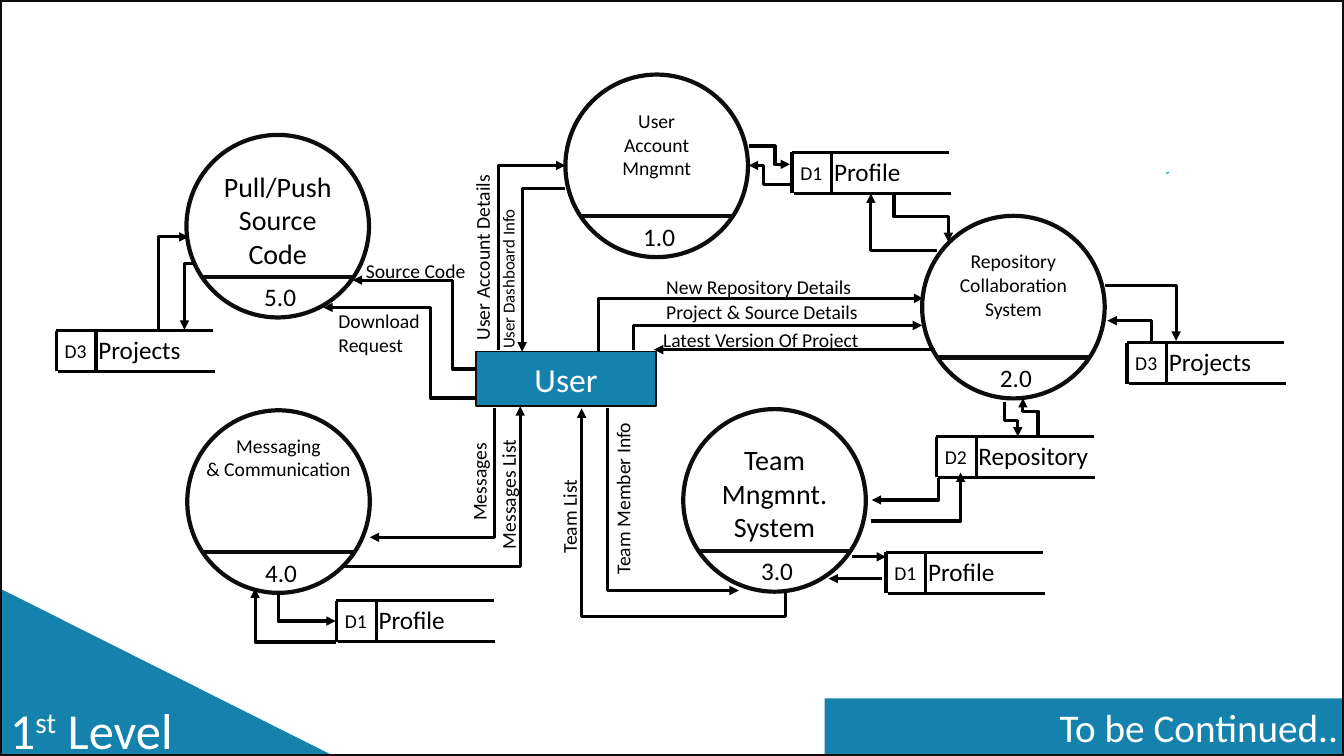
"""Build the first-level data flow diagram slide."""
from lxml import etree
from pptx import Presentation
from pptx.dml.color import RGBColor
from pptx.enum.shapes import MSO_CONNECTOR, MSO_SHAPE
from pptx.enum.text import MSO_ANCHOR, PP_ALIGN
from pptx.oxml.ns import qn
from pptx.util import Cm, Pt

BLACK = RGBColor(0x00, 0x00, 0x00)
OUTLINE = RGBColor(0x0D, 0x0D, 0x0D)
WHITE = RGBColor(0xFF, 0xFF, 0xFF)
BLUE = RGBColor(0x14, 0x82, 0xAC)
LIGHT_BLUE = RGBColor(0x1C, 0xAD, 0xE4)
LEFT, CENTER, RIGHT = PP_ALIGN.LEFT, PP_ALIGN.CENTER, PP_ALIGN.RIGHT
TOP, MIDDLE = MSO_ANCHOR.TOP, MSO_ANCHOR.MIDDLE
STRAIGHT, ELBOW = MSO_CONNECTOR.STRAIGHT, MSO_CONNECTOR.ELBOW
OVAL, RECTANGLE, TRIANGLE = MSO_SHAPE.OVAL, MSO_SHAPE.RECTANGLE, MSO_SHAPE.RIGHT_TRIANGLE
WIDTH, HEIGHT = 33.87, 19.05
DIAMETER = 4.6
STORE_WIDTH, STORE_HEIGHT = 3.96, 1.03


def write(shape, text, size, color=BLACK, align=LEFT, anchor=TOP):
    """Fill a shape with one paragraph per line of text."""
    frame = shape.text_frame
    frame.text = text
    for name, value in {"word_wrap": True, "vertical_anchor": anchor}.items():
        setattr(frame, name, value)
    for paragraph in frame.paragraphs:
        paragraph.alignment = align
        for name, value in {"name": "Calibri", "size": Pt(size)}.items():
            setattr(paragraph.font, name, value)
        for run in paragraph.runs:
            run.font.color.rgb = color


def connect(shapes, points, color=BLACK, width=2.25, arrow=True):
    """Draw a connector through two, three or four points."""
    (x1, y1), (x2, y2) = points[0], points[-1]
    kind = STRAIGHT if len(points) == 2 else ELBOW
    connector = shapes.add_connector(kind, Cm(x1), Cm(y1), Cm(x2), Cm(y2))
    connector.line.color.rgb = color
    connector.line.width = Pt(width)
    properties = connector._element.spPr
    if kind == ELBOW:
        geometry = properties.find(qn("a:prstGeom"))
        geometry.set("prst", f"bentConnector{len(points) - 1}")
        vertical = points[0][0] == points[1][0]
        if len(points) == 4:
            axis = 1 if vertical else 0
            share = (points[1][axis] - points[0][axis]) / (points[3][axis] - points[0][axis])
            guide = etree.SubElement(geometry.find(qn("a:avLst")), qn("a:gd"))
            guide.set("name", "adj1")
            guide.set("fmla", f"val {round(share * 100000)}")
        if vertical:
            across, down = abs(x2 - x1), abs(y2 - y1)
            box = {"left": (x1 + x2 - down) / 2, "top": (y1 + y2 - across) / 2,
                   "width": down, "height": across}
            for name, value in box.items():
                setattr(connector, name, Cm(value))
            rightward, downward = x2 > x1, y2 > y1
            turn = {"rot": "16200000" if rightward else "5400000",
                    "flipH": "1" if rightward == downward else "0", "flipV": "0"}
            for name, value in turn.items():
                properties.find(qn("a:xfrm")).set(name, value)
    if arrow:
        etree.SubElement(connector.line._get_or_add_ln(), qn("a:tailEnd")).set("type", "triangle")
    etree.SubElement(properties, qn("a:effectLst"))


presentation = Presentation()
presentation.slide_width, presentation.slide_height = Cm(WIDTH), Cm(HEIGHT)
slide = presentation.slides.add_slide(presentation.slide_layouts[6])
shapes = slide.shapes

panels = {}
for name, kind, left, top, width, height, fill, line in [
    ("corner", TRIANGLE, 0, 14.83, 8.41, 4.22, BLUE, None),
    ("user", RECTANGLE, 11.99, 8.86, 4.55, 1.37, BLUE, 1.25),
    ("banner", RECTANGLE, 20.78, 17.6, 13.09, 1.45, BLUE, None),
    ("frame", RECTANGLE, 0, 0, WIDTH, HEIGHT, None, 2.25),
]:
    shape = shapes.add_shape(kind, Cm(left), Cm(top), Cm(width), Cm(height))
    shape.shadow.inherit = False
    if fill is None:
        shape.fill.background()
    else:
        shape.fill.solid()
        shape.fill.fore_color.rgb = fill
    if line is None:
        shape.line.fill.background()
    else:
        shape.line.color.rgb = OUTLINE
        shape.line.width = Pt(line)
    panels[name] = shape
write(panels["user"], "User", 24, WHITE, CENTER, MIDDLE)
write(panels["banner"], "To be Continued..", 28, WHITE, RIGHT)
panels["banner"].text_frame.margin_right = Cm(0.15)

for number, name, size, left, top, name_offset in [
    ("1.0", "User\nAccount\nMngmnt", 14, 14.25, 1.88, 0.74),
    ("2.0", "Repository Collaboration\nSystem", 14, 23.24, 5.44, 0.72),
    ("3.0", "Team\nMngmnt.\nSystem", 20, 17.22, 10.31, 0.72),
    ("4.0", "Messaging\n& Communication", 14, 4.72, 10.34, 0.46),
    ("5.0", "Pull/Push\nSource\nCode", 20, 4.7, 3.4, 0.74),
]:
    process = shapes.add_group_shape().shapes
    circle = process.add_shape(OVAL, Cm(left), Cm(top), Cm(DIAMETER), Cm(DIAMETER))
    circle.shadow.inherit = False
    circle.fill.background()
    circle.line.color.rgb = OUTLINE
    circle.line.width = Pt(3)
    chord = top + 3.57
    connect(process, [(left + 0.37, chord), (left + 4.21, chord)], OUTLINE, 3, False)
    write(process.add_textbox(Cm(left + 1.71), Cm(chord), Cm(1.7), Cm(1.02)), number, 18)
    name_box = process.add_textbox(Cm(left), Cm(top + name_offset), Cm(DIAMETER), Cm(2.06))
    write(name_box, name, size, align=CENTER)

for code, name, left, top in [
    ("D1", "Profile", 19.96, 3.84),
    ("D2", "Repository", 23.6, 11),
    ("D1", "Profile", 22.33, 13.92),
    ("D1", "Profile", 8.48, 15.14),
    ("D3", "Projects", 1.42, 8.33),
    ("D3", "Projects", 28.4, 8.64),
]:
    store = shapes.add_group_shape().shapes
    bottom = top + STORE_HEIGHT
    for shift, y in [(0, top), (0.04, bottom)]:
        connect(store, [(left + shift, y), (left + shift + STORE_WIDTH, y)], arrow=False)
    for x in (left, left + 1):
        connect(store, [(x, top), (x, bottom)], arrow=False)
    write(store.add_textbox(Cm(left + 0.81), Cm(top - 0.03), Cm(3.5), Cm(1.02)), name, 18)
    write(store.add_textbox(Cm(left - 0.04), Cm(top + 0.08), Cm(1.3), Cm(0.86)), code, 14)

for points in [
    [(12.57, 8.81), (12.57, 4.17), (14.25, 4.17)],
    [(14.25, 4.75), (13.16, 4.75), (13.16, 8.86)],
    [(18.87, 3.68), (19.53, 3.68), (19.53, 4.14), (19.91, 4.14)],
    [(19.91, 4.65), (19.25, 4.65), (19.25, 4.17), (18.87, 4.17)],
    [(15.08, 8.84), (15.08, 7.52), (23.27, 7.52)],
    [(15.97, 8.81), (15.97, 8.2), (23.24, 8.2)],
    [(23.57, 8.81), (16.48, 8.81)],
    [(25.32, 10.13), (25.32, 10.59), (25.65, 10.59), (25.65, 11)],
    [(26.16, 10.97), (26.16, 10.36), (25.78, 10.36), (25.78, 10.03)],
    [(22.53, 4.83), (22.53, 5.46), (23.9, 5.46), (23.9, 6.1)],
    [(23.62, 6.32), (21.95, 6.32), (21.95, 4.88)],
    [(19.79, 14.91), (19.79, 15.54), (14.66, 15.54), (14.66, 10.29)],
    [(15.32, 10.29), (15.32, 14.88), (18.62, 14.88)],
    [(21.95, 13.13), (24.21, 13.13), (24.21, 11.91)],
    [(23.65, 12.04), (23.65, 12.6), (21.97, 12.6)],
    [(21.46, 14.03), (22.33, 14.03)],
    [(22.23, 14.58), (20.88, 14.58)],
    [(12.47, 10.29), (12.47, 13.54), (9.32, 13.54)],
    [(8.61, 14.27), (13.11, 14.27), (13.11, 10.24)],
    [(7.01, 14.96), (7.01, 15.65), (8.46, 15.65)],
    [(8.46, 16.18), (6.43, 16.18), (6.43, 14.83)],
    [(12.01, 9.3), (11.4, 9.3), (11.4, 7.06), (8.89, 7.06)],
    [(11.99, 10.03), (10.85, 10.03), (10.85, 7.75), (8.15, 7.75)],
    [(3.99, 8.28), (3.99, 5.97), (4.75, 5.97)],
    [(4.88, 6.63), (4.65, 6.63), (4.65, 8.31)],
    [(27.84, 7.19), (29.64, 7.19), (29.64, 8.59)],
    [(29.01, 8.61), (29.01, 8.08), (27.91, 8.08)],
]:
    connect(shapes, points)
connect(shapes, [(29.39, 4.37), (29.46, 4.34)], LIGHT_BLUE, 1, False)

for text, left, top, width, height, size, rotation in [
    ("User Account Details", 9.07, 5.31, 6.17, 0.86, 14, 270),
    ("User Dashboard Info", 9.75, 5.61, 6.1, 0.76, 12, 270),
    ("New Repository Details", 16.54, 6.81, 6.2, 0.86, 14, 0),
    ("Project & Source Details", 16.54, 7.44, 6.55, 0.86, 14, 0),
    ("Latest Version Of Project", 16.46, 8.15, 8, 0.86, 14, 0),
    ("Team Member Info", 12.98, 11.58, 5.44, 0.86, 14, 270),
    ("Team List", 12.42, 11.84, 3.86, 0.86, 14, 270),
    ("Messages", 8.99, 9.86, 6.17, 0.86, 14, 270),
    ("Messages List", 9.73, 10.57, 6.17, 0.86, 14, 270),
    ("Source Code", 8.97, 6.4, 3.48, 0.86, 14, 0),
    ("Download\nRequest", 8.28, 7.67, 3.48, 1.45, 14, 0),
]:
    label = shapes.add_textbox(Cm(left), Cm(top), Cm(width), Cm(height))
    label.rotation = rotation
    write(label, text, size)

title = shapes.add_textbox(Cm(0), Cm(17.48), Cm(7.7), Cm(1.57))
write(title, "1", 36, WHITE)
for text, baseline in [("st", "30000"), (" Level", "0")]:
    run = title.text_frame.paragraphs[0].add_run()
    run.text = text
    run.font.color.rgb = WHITE
    run._r.get_or_add_rPr().set("baseline", baseline)

presentation.save("out.pptx")
